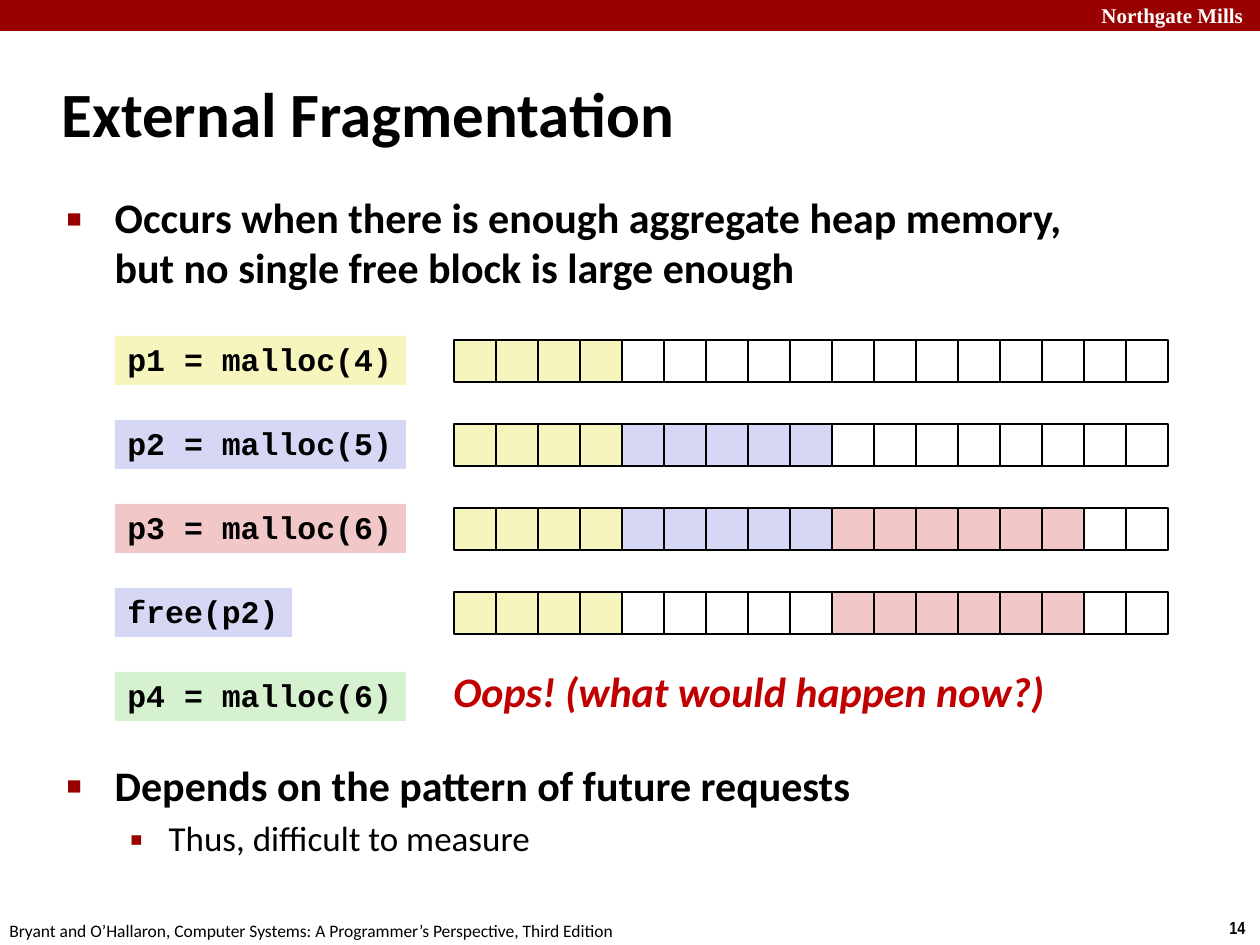
from lxml.etree import SubElement
from pptx import Presentation
from pptx.dml.color import RGBColor
from pptx.enum.shapes import MSO_SHAPE
from pptx.enum.text import MSO_ANCHOR, MSO_AUTO_SIZE, PP_ALIGN
from pptx.oxml.ns import qn
from pptx.util import Pt

PX = 914400 / 126
RED, BLACK, WHITE = "990000", "000000", "FFFFFF"
YELLOW, BLUE, PINK, GREEN = "F6F5BD", "D6D6F5", "F1C7C7", "D5F1CF"
rgb = RGBColor.from_string


def area(*sides):
    return [round(side * PX) for side in sides]


def write(para, text, size, face="Calibri", color=BLACK, bold=True, slant=False):
    run = para.add_run()
    run.text = text
    font = run.font
    font.name, font.size, font.bold, font.italic = face, Pt(size), bold, slant
    font.color.rgb = rgb(color)


deck = Presentation()
deck.slide_width, deck.slide_height = area(1260, 945)
slide = deck.slides.add_slide(deck.slide_layouts[1])
shapes = slide.shapes

# Top band
band = shapes.add_shape(MSO_SHAPE.RECTANGLE, *area(0, 0, 1260, 31))
band.shadow.inherit = False
band.fill.solid()
band.fill.fore_color.rgb = rgb(RED)
band.line.fill.background()

# Header, footer, page number and closing question
notes = [
    ((1089, -4, 180, 38), "Northgate Mills", 12, "Times New Roman", WHITE, True, False),
    ((1217, 911, 43, 34), "14", 10, "Arial Narrow", BLACK, True, False),
    ((-3, 914, 640, 34),
     "Bryant and O’Hallaron, Computer Systems: A Programmer’s Perspective, Third Edition",
     10, "Calibri", BLACK, False, False),
    ((441, 659, 621, 63), "Oops! (what would happen now?)", 24, "Calibri", "C00000", True, True),
]
for sides, *style in notes:
    frame = shapes.add_textbox(*area(*sides)).text_frame
    frame.word_wrap = False
    write(frame.paragraphs[0], *style)

# Title
title = shapes.title
title.left, title.top, title.width, title.height = area(49, 60, 1046, 105)
frame = title.text_frame
frame.auto_size = MSO_AUTO_SIZE.NONE
frame.vertical_anchor = MSO_ANCHOR.MIDDLE
frame.paragraphs[0].alignment = PP_ALIGN.LEFT
write(frame.paragraphs[0], "External Fragmentation", 36)

# Bullets, with a gap before the second that leaves room for the heap
body = slide.placeholders[1]
body.left, body.top, body.width, body.height = area(54, 188, 1089, 685)
frame = body.text_frame
frame.auto_size = MSO_AUTO_SIZE.NONE
bullets = [
    ("Occurs when there is enough aggregate heap memory, "
     "but no single free block is large enough", 0, 0),
    ("Depends on the pattern of future requests", 0, 268),
    ("Thus, difficult to measure", 1, 4),
]
levels = [(24, True, 48, 48, "■", 60), (20, False, 102, 39, "▪", 110)]
for i, (text, level, gap) in enumerate(bullets):
    size, bold, left, hang, mark, scale = levels[level]
    para = frame.add_paragraph() if i else frame.paragraphs[0]
    para.level = level
    para.line_spacing = 0.98
    para.space_before = Pt(gap)
    write(para, text, size, bold=bold)
    props = para._p.get_or_add_pPr()
    margin, indent = area(left, -hang)
    props.set("marL", str(margin))
    props.set("indent", str(indent))
    tint = SubElement(props, qn("a:buClr"))
    SubElement(tint, qn("a:srgbClr"), val=RED)
    SubElement(props, qn("a:buSzPct"), val=str(scale * 1000))
    SubElement(props, qn("a:buChar"), char=mark)

# Calls, each with the heap after it as (count, colour) blocks
calls = [
    ("p1 = malloc(4)", 291, YELLOW, [(4, YELLOW), (13, WHITE)]),
    ("p2 = malloc(5)", 291, BLUE, [(4, YELLOW), (5, BLUE), (8, WHITE)]),
    ("p3 = malloc(6)", 291, PINK, [(4, YELLOW), (5, BLUE), (6, PINK), (2, WHITE)]),
    ("free(p2)", 177, BLUE, [(4, YELLOW), (5, WHITE), (6, PINK), (2, WHITE)]),
    ("p4 = malloc(6)", 291, GREEN, []),
]
for row, (code, width, color, blocks) in enumerate(calls):
    top = 336 + 84 * row
    label = shapes.add_shape(MSO_SHAPE.RECTANGLE, *area(115, top, width, 49))
    label.shadow.inherit = False
    label.fill.solid()
    label.fill.fore_color.rgb = rgb(color)
    label.line.fill.background()
    frame = label.text_frame
    frame.word_wrap = False
    para = frame.paragraphs[0]
    para.alignment = PP_ALIGN.LEFT
    para.line_spacing = 0.94
    write(para, code, 18, "Courier New")

    if not blocks:
        continue
    heap = shapes.add_group_shape()
    fills = [fill for count, fill in blocks for _ in range(count)]
    for col, fill in enumerate(fills):
        cell = heap.shapes.add_shape(
            MSO_SHAPE.RECTANGLE, *area(454 + 42 * col, top + 4, 42, 42))
        cell.shadow.inherit = False
        cell.fill.solid()
        cell.fill.fore_color.rgb = rgb(fill)
        cell.line.color.rgb = rgb(BLACK)
        cell.line.width = Pt(1)

deck.save("out.pptx")
